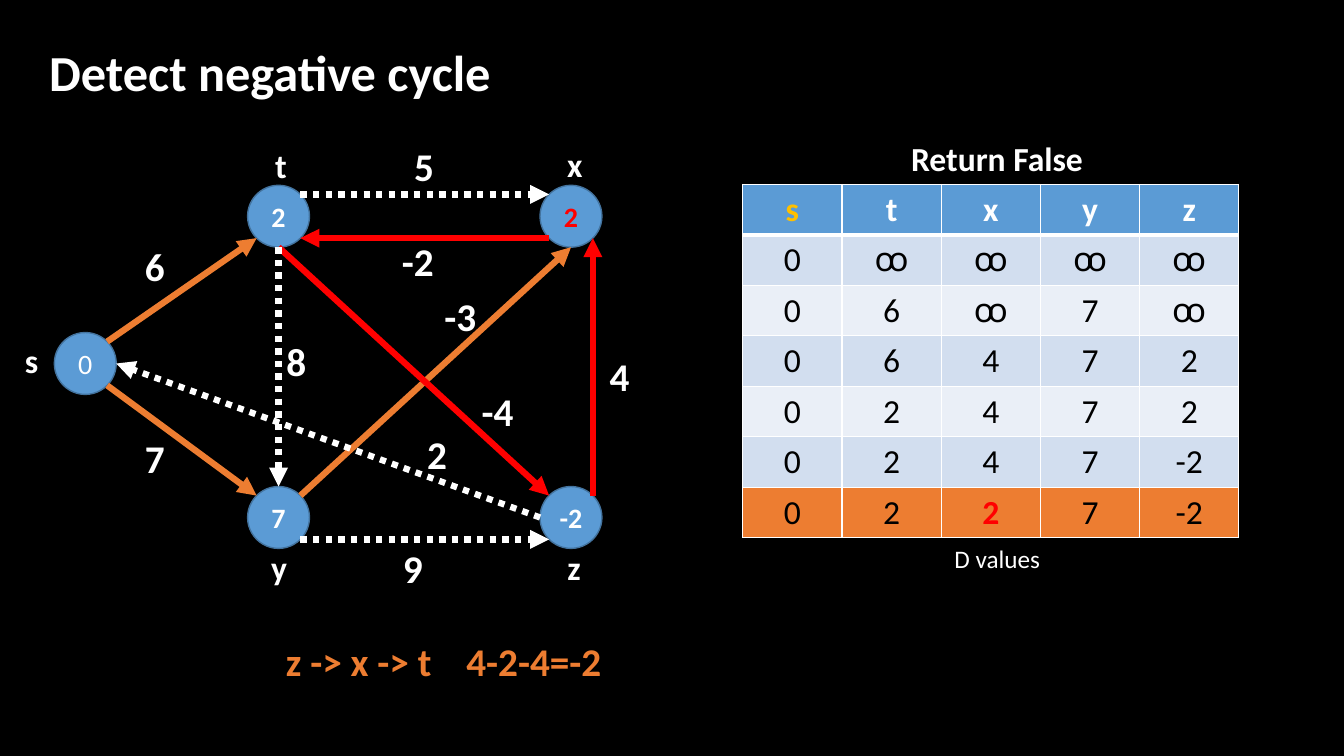
"""Build the slide that shows a negative cycle found in a weighted graph."""
from math import cos, radians, sin

from lxml import etree
from pptx import Presentation
from pptx.dml.color import RGBColor
from pptx.enum.dml import MSO_LINE
from pptx.enum.shapes import MSO_CONNECTOR, MSO_SHAPE
from pptx.enum.text import MSO_ANCHOR, MSO_AUTO_SIZE, PP_ALIGN
from pptx.oxml.ns import qn
from pptx.util import Cm, Pt

COLOURS = {
    "black": "000000", "white": "FFFFFF", "blue": "5B9BD5", "outline": "43739E",
    "orange": "ED7D31", "red": "FF0000", "gold": "FFC000",
    "band_dark": "D2DEEF", "band_light": "EAEFF7",
}
FONT = "Calibri"
NODE_SIZE = 1.56
TOP, TOP_LEFT, LEFT, BOTTOM_LEFT, BOTTOM, BOTTOM_RIGHT, RIGHT, TOP_RIGHT = range(8)
INFINITY = "\ua74f"

NODES = {
    "s": (2.15, 9.16, "0", "white", False),
    "t": (7.02, 5.45, "2", "white", True),
    "y": (7.02, 13.04, "7", "white", True),
    "x": (14.39, 5.45, "2", "red", True),
    "z": (14.39, 13.04, "-2", "white", True),
}
NODE_NAMES = {
    "s": (0.81, 9.09, 0.86), "t": (7.09, 4.17, 0.81), "x": (14.5, 4.14, 0.91),
    "y": (7.04, 14.3, 0.91), "z": (14.48, 14.3, 0.86),
}
EDGES = [
    ("s", TOP_RIGHT, "t", BOTTOM_LEFT, "orange", "6", 3.91, 6.72),
    ("s", BOTTOM_RIGHT, "y", TOP_LEFT, "orange", "7", 3.91, 11.54),
    ("t", TOP_RIGHT, "x", TOP_LEFT, "white", "5", 10.69, 4.2),
    ("x", BOTTOM_LEFT, "t", BOTTOM_RIGHT, "red", "-2", 10.54, 6.57),
    ("z", TOP_RIGHT, "x", BOTTOM_RIGHT, "red", "4", 15.62, 9.49),
    ("y", TOP_RIGHT, "x", BOTTOM, "orange", "-3", 11.61, 7.96),
    ("y", BOTTOM_RIGHT, "z", BOTTOM_LEFT, "white", "9", 10.41, 14.31),
    ("z", LEFT, "s", RIGHT, "white", "2", 11.02, 11.44),
    ("t", BOTTOM, "z", TOP_LEFT, "red", "-4", 12.55, 10.35),
    ("t", BOTTOM, "y", TOP, "white", "8", 7.47, 9.11),
]
D_VALUES = [
    ["s", "t", "x", "y", "z"],
    ["0", INFINITY, INFINITY, INFINITY, INFINITY],
    ["0", "6", INFINITY, "7", INFINITY],
    ["0", "6", "4", "7", "2"],
    ["0", "2", "4", "7", "2"],
    ["0", "2", "4", "7", "-2"],
    ["0", "2", "2", "7", "-2"],
]
ROW_FILLS = ["blue"] + ["band_dark", "band_light"] * 2 + ["band_dark", "orange"]


def rgb(name):
    """Return the named colour."""
    return RGBColor.from_string(COLOURS[name])


def write(frame, text, size, colour, bold, align=PP_ALIGN.LEFT):
    """Write one formatted run into a text frame."""
    paragraph = frame.paragraphs[0]
    paragraph.alignment = align
    run = paragraph.add_run()
    run.text = text
    run.font.name, run.font.size, run.font.bold = FONT, Pt(size), bold
    run.font.color.rgb = rgb(colour)
    return paragraph


def add_label(slide, text, x, y, width, size, colour="white", bold=True):
    """Add a one-line text box centred on a point and return its paragraph."""
    height = size * 0.043 + 0.25
    box = slide.shapes.add_textbox(Cm(x - width / 2), Cm(y - height / 2), Cm(width), Cm(height))
    box.text_frame.word_wrap = False
    box.text_frame.auto_size = MSO_AUTO_SIZE.SHAPE_TO_FIT_TEXT
    return write(box.text_frame, text, size, colour, bold)


def add_node(slide, x, y, value, colour, bold):
    """Add a graph node centred on a point."""
    node = slide.shapes.add_shape(
        MSO_SHAPE.OVAL, Cm(x - NODE_SIZE / 2), Cm(y - NODE_SIZE / 2), Cm(NODE_SIZE), Cm(NODE_SIZE))
    node.shadow.inherit = False
    node.fill.solid()
    node.fill.fore_color.rgb = rgb("blue")
    node.line.color.rgb = rgb("outline")
    node.line.width = Pt(1)
    frame = node.text_frame
    frame.margin_left = frame.margin_right = 0
    frame.vertical_anchor = MSO_ANCHOR.MIDDLE
    write(frame, value, 20, colour, bold, PP_ALIGN.CENTER)
    return node


def site_point(name, site):
    """Return a connection site on the rim of a node."""
    x, y = NODES[name][:2]
    angle = radians(90 + 45 * site)
    return Cm(x + NODE_SIZE / 2 * cos(angle)), Cm(y - NODE_SIZE / 2 * sin(angle))


def add_edge(slide, nodes, start, start_site, end, end_site, colour):
    """Add an arrow glued to two nodes, dotted when it is white."""
    edge = slide.shapes.add_connector(
        MSO_CONNECTOR.STRAIGHT, *site_point(start, start_site), *site_point(end, end_site))
    edge.line.color.rgb = rgb(colour)
    edge.line.width = Pt(4.5)
    if colour == "white":
        edge.line.dash_style = MSO_LINE.ROUND_DOT
        edge.line._ln.find(qn("a:prstDash")).set("val", "sysDot")
    etree.SubElement(edge.line._ln, qn("a:tailEnd"), type="triangle")
    etree.SubElement(edge._element.spPr, qn("a:effectLst"))
    glue = edge._element.find(".//" + qn("p:cNvCxnSpPr"))
    for tag, name, site in (("a:stCxn", start, start_site), ("a:endCxn", end, end_site)):
        etree.SubElement(glue, qn(tag), id=str(nodes[name].shape_id), idx=str(site))


def add_borders(cell, bottom):
    """Give a cell white borders, with its own bottom width in points."""
    for tag, width in (("lnL", 1), ("lnR", 1), ("lnT", 1), ("lnB", bottom)):
        line = etree.SubElement(cell._tc.get_or_add_tcPr(), qn("a:" + tag), w=str(Pt(width)))
        fill = etree.SubElement(line, qn("a:solidFill"))
        etree.SubElement(fill, qn("a:srgbClr"), val=COLOURS["white"])


def add_distance_table(slide):
    """Add the table of D values after each pass."""
    rows, columns = len(D_VALUES), len(D_VALUES[0])
    table = slide.shapes.add_table(
        rows, columns, Cm(18.72), Cm(4.65), Cm(2.5 * columns), Cm(1.27 * rows)).table
    special = {(0, 0): "gold", (rows - 1, 2): "red"}
    for r, values in enumerate(D_VALUES):
        for c, value in enumerate(values):
            cell = table.cell(r, c)
            add_borders(cell, 1 if r else 3)
            cell.fill.solid()
            cell.fill.fore_color.rgb = rgb(ROW_FILLS[r])
            cell.vertical_anchor = MSO_ANCHOR.MIDDLE
            colour = special.get((r, c), "black" if r else "white")
            write(cell.text_frame, value, 24, colour, colour != "black", PP_ALIGN.CENTER)


def add_cycle_sum(slide):
    """Add the cycle and its weight, set apart by a tab stop."""
    paragraph = add_label(slide, "z -> x -> t\t4-2-4=-2", 11.25, 16.65, 8.59, 28, "orange")
    tabs = etree.SubElement(paragraph._p.get_or_add_pPr(), qn("a:tabLst"))
    etree.SubElement(tabs, qn("a:tab"), pos=str(Cm(4.55)), algn="l")


def main():
    """Build and save the slide."""
    deck = Presentation()
    deck.slide_width, deck.slide_height = Cm(33.87), Cm(19.05)
    slide = deck.slides.add_slide(deck.slide_layouts[6])
    slide.background.fill.solid()
    slide.background.fill.fore_color.rgb = rgb("black")

    add_label(slide, "Detect negative cycle", 6.87, 1.82, 11.76, 36)
    nodes = {name: add_node(slide, *spec) for name, spec in NODES.items()}
    for *ends, _, _, _ in EDGES:
        add_edge(slide, nodes, *ends)
    for *_, weight, x, y in EDGES:
        add_label(slide, weight, x, y, 0.7 + 0.31 * len(weight), 28)
    for name, (x, y, width) in NODE_NAMES.items():
        add_label(slide, name, x, y, width, 24)
    add_label(slide, "Return False", 25.16, 3.99, 4.9, 24)
    add_distance_table(slide)
    add_label(slide, "D values", 25.15, 14.07, 2.69, 18, bold=False)
    add_cycle_sum(slide)
    deck.save("out.pptx")


main()
